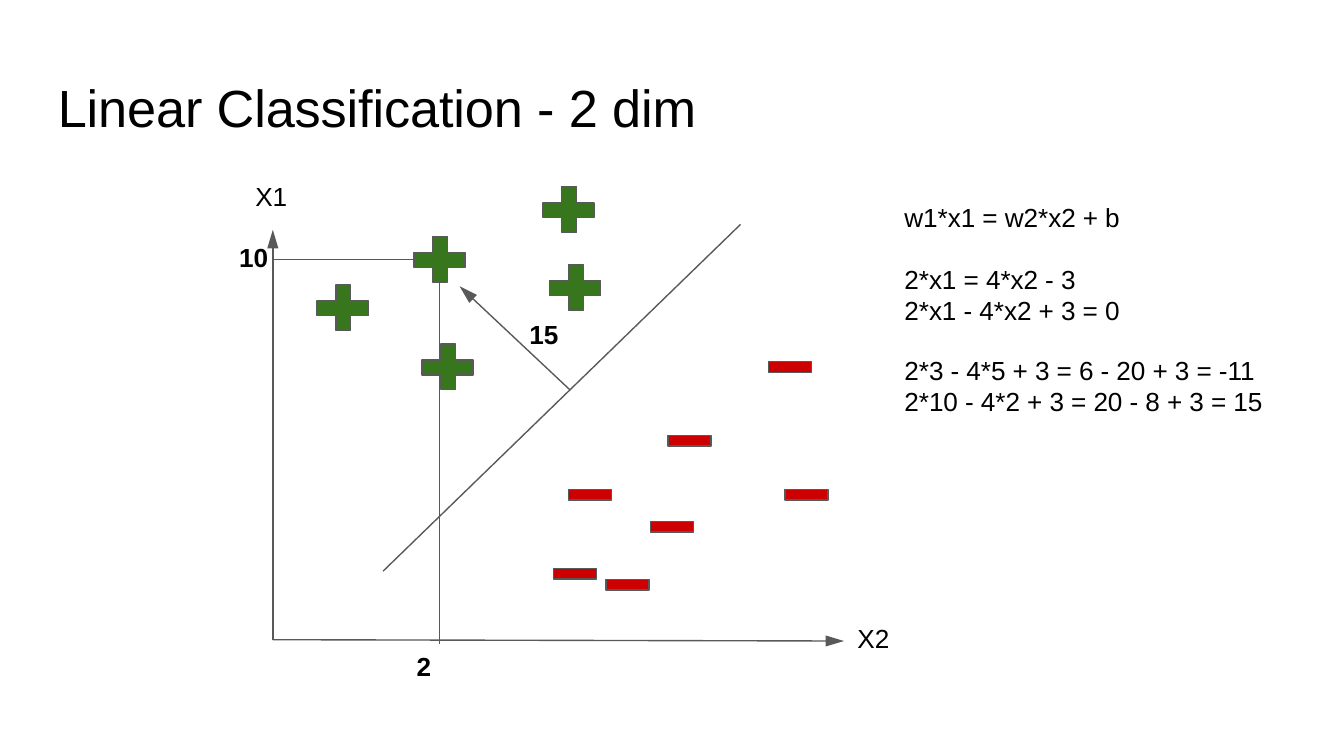
from pptx import Presentation
from pptx.dml.color import RGBColor
from pptx.enum.shapes import MSO_CONNECTOR, MSO_SHAPE
from pptx.enum.text import MSO_ANCHOR, MSO_AUTO_SIZE, PP_ALIGN
from pptx.oxml.ns import qn
from pptx.util import Pt
from lxml.etree import SubElement

PX = 9144  # EMU per px, 100 px to the inch
SLIDE_WIDTH = 1000 * PX
SLIDE_HEIGHT = SLIDE_WIDTH * 9 // 16

BLACK = RGBColor(0x00, 0x00, 0x00)
GRAY = RGBColor(0x59, 0x59, 0x59)
GREEN = RGBColor(0x37, 0x76, 0x1C)
RED = RGBColor(0xCC, 0x00, 0x00)

PLUS_OUTLINE = [(0, 12), (14, 12), (14, 0), (25, 0), (25, 12), (38, 12),
                (38, 23), (25, 23), (25, 34), (14, 34), (14, 23), (0, 23)]
MINUS_WIDTH, MINUS_HEIGHT = 32, 8

PLUSES = [(314, 256), (409, 197), (308, 176), (236, 212), (404, 139)]
MINUSES = [(423, 364), (497, 324), (451, 431), (484, 388),
           (584, 364), (572, 269), (412, 423)]
AXES = [(203, 476, 203, 171), (203, 476, 628, 477)]
BOUNDARY = (285, 425, 551, 167)
GUIDES = [(203, 193, 308, 193), (327, 479, 327, 210)]
DISTANCE = (424, 290, 342, 213)

EQUATIONS = [
    (149, 164, 26, "w1*x1 = w2*x2 + b"),
    (195, 164, 49, "2*x1 = 4*x2 - 3\n2*x1 - 4*x2 + 3 = 0"),
    (263, 270, 49, "2*3 - 4*5 + 3 = 6 - 20 + 3 = -11\n"
                   "2*10 - 4*2 + 3 = 20 - 8 + 3 = 15"),
]
AXIS_NAMES = [(189, 133, "X1"), (637, 462, "X2")]
VALUES = [(309, 483, "2"), (177, 179, "10"), (393, 236, "15")]


class PlotSlide:
    font = "Arial"
    text_size = 14
    title_size = 28
    line_width = Pt(0.75)

    def __init__(self, presentation):
        self.slide = presentation.slides.add_slide(presentation.slide_layouts[5])
        self.shapes = self.slide.shapes

    def set_text(self, shape, text, size, bold=False):
        frame = shape.text_frame
        frame.text = text
        frame.word_wrap = False
        frame.auto_size = MSO_AUTO_SIZE.NONE
        frame.vertical_anchor = MSO_ANCHOR.TOP
        frame.margin_left = frame.margin_top = PX
        frame.margin_right = frame.margin_bottom = 0
        frame.paragraphs[0].space_before = Pt(1)
        for paragraph in frame.paragraphs:
            paragraph.alignment = PP_ALIGN.LEFT
            if len(frame.paragraphs) > 1:
                paragraph.line_spacing = Pt(16.6)
            for run in paragraph.runs:
                run.font.name = self.font
                run.font.size = Pt(size)
                run.font.bold = bold
                run.font.color.rgb = BLACK
                run.font._element.set("spc", "-5")

    def title(self, left, top, width, height, text):
        shape = self.shapes.title
        shape.left, shape.top = left * PX, top * PX
        shape.width, shape.height = width * PX, height * PX
        self.set_text(shape, text, self.title_size)

    def text(self, left, top, width, height, text, bold=False):
        box = self.shapes.add_textbox(left * PX, top * PX, width * PX, height * PX)
        self.set_text(box, text, self.text_size, bold)

    def paint(self, shape, color):
        shape.shadow.inherit = False
        shape.fill.solid()
        shape.fill.fore_color.rgb = color
        shape.line.color.rgb = GRAY
        shape.line.width = self.line_width

    def plus(self, left, top):
        points = [(left + x, top + y) for x, y in PLUS_OUTLINE]
        builder = self.shapes.build_freeform(*points[0], scale=PX)
        builder.add_line_segments(points[1:], close=True)
        self.paint(builder.convert_to_shape(), GREEN)

    def minus(self, left, top):
        shape = self.shapes.add_shape(MSO_SHAPE.RECTANGLE, left * PX, top * PX,
                                      MINUS_WIDTH * PX, MINUS_HEIGHT * PX)
        self.paint(shape, RED)

    def line(self, x1, y1, x2, y2, arrow=False):
        connector = self.shapes.add_connector(
            MSO_CONNECTOR.STRAIGHT, x1 * PX, y1 * PX, x2 * PX, y2 * PX)
        connector.line.color.rgb = GRAY
        connector.line.width = self.line_width
        if arrow:
            SubElement(connector.line._get_or_add_ln(), qn("a:tailEnd"),
                       type="triangle", w="med", len="lg")
        SubElement(connector._element.spPr, qn("a:effectLst"))


def main():
    presentation = Presentation()
    presentation.slide_width = SLIDE_WIDTH
    presentation.slide_height = SLIDE_HEIGHT
    plot = PlotSlide(presentation)

    plot.title(42, 55, 480, 49, "Linear Classification - 2 dim")
    for axis in AXES:
        plot.line(*axis, arrow=True)
    plot.line(*BOUNDARY)
    for position in PLUSES:
        plot.plus(*position)
    for position in MINUSES:
        plot.minus(*position)
    for guide in GUIDES:
        plot.line(*guide)

    for top, width, height, equation in EQUATIONS:
        plot.text(672, top, width, height, equation)
    for left, top, name in AXIS_NAMES:
        plot.text(left, top, 27, 26, name)
    plot.line(*DISTANCE, arrow=True)
    for left, top, value in VALUES:
        plot.text(left, top, 24, 26, value, bold=True)

    presentation.save("out.pptx")


if __name__ == "__main__":
    main()
